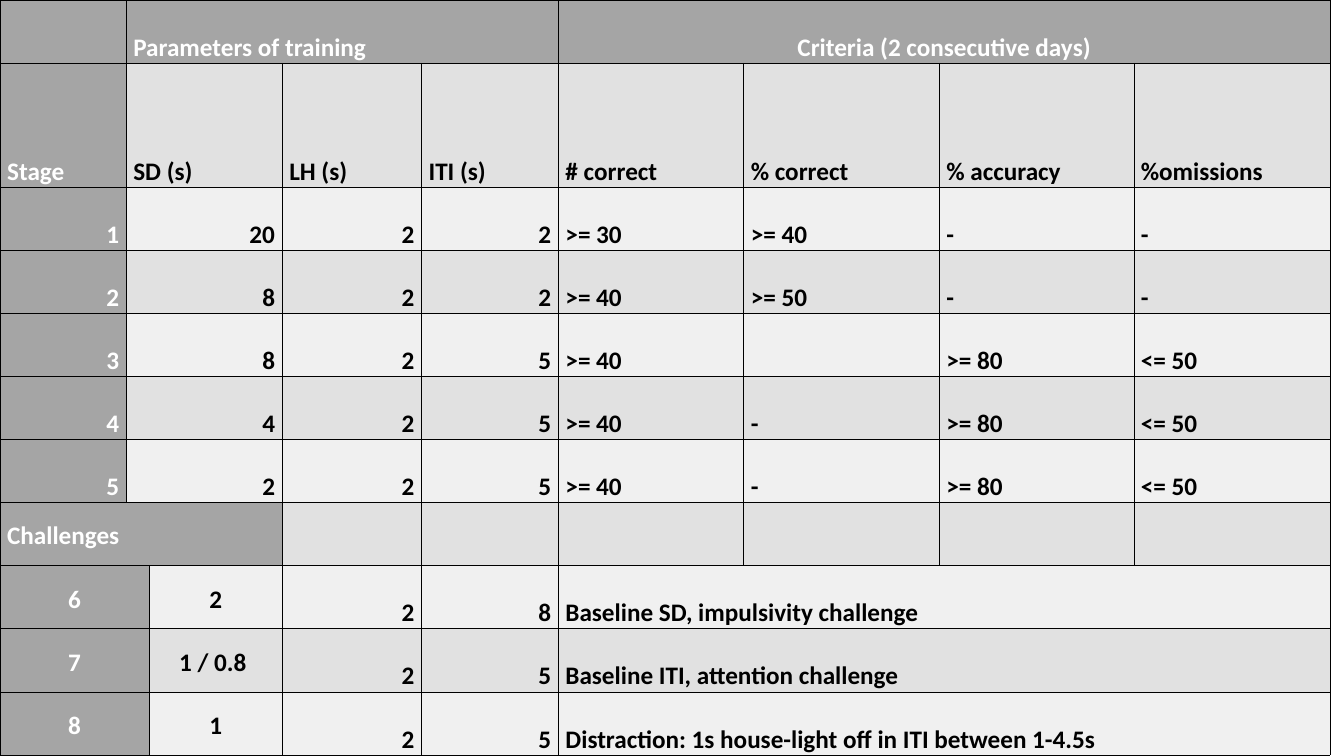
import lxml.etree
import pptx
import pptx.dml.color
import pptx.enum.text
import pptx.oxml.ns
import pptx.util

Cm = pptx.util.Cm
ALIGN = pptx.enum.text.PP_ALIGN
ANCHOR = pptx.enum.text.MSO_ANCHOR

HEADER_FILL, DARK_BAND, LIGHT_BAND = "A5A5A5", "E1E1E1", "F0F0F0"
COLUMN_WIDTHS = [3.18, 0.58, 3.35, 3.51, 3.45, 4.67, 4.93, 4.9, 4.95]
ROW_HEIGHT, NAMES_HEIGHT = 1.59, 3.12

GROUP_SPANS = [1, 4, 4]
STAGE_SPANS = [1, 2, 1, 1, 1, 1, 1, 1]
CHALLENGE_TITLE_SPANS = [3, 1, 1, 1, 1, 1, 1]
CHALLENGE_SPANS = [2, 1, 1, 1, 4]

GROUPS = ["", "Parameters of training", "Criteria (2 consecutive days)"]
NAMES = ["Stage", "SD (s)", "LH (s)", "ITI (s)", "# correct", "% correct",
         "% accuracy", "%omissions"]
STAGES = [
    ["1", "20", "2", "2", ">= 30", ">= 40", "-", "-"],
    ["2", "8", "2", "2", ">= 40", ">= 50", "-", "-"],
    ["3", "8", "2", "5", ">= 40", "", ">= 80", "<= 50"],
    ["4", "4", "2", "5", ">= 40", "-", ">= 80", "<= 50"],
    ["5", "2", "2", "5", ">= 40", "-", ">= 80", "<= 50"],
]
CHALLENGE_TITLE = ["Challenges"] + [""] * 6
CHALLENGES = [
    ["6", "2", "2", "8", "Baseline SD, impulsivity challenge"],
    ["7", "1 / 0.8 ", "2", "5", "Baseline ITI, attention challenge"],
    ["8", "1", "2", "5", "Distraction: 1s house-light off in ITI between 1-4.5s"],
]


def rgb(colour):
    """Turn a hex string into a colour."""
    return pptx.dml.color.RGBColor.from_string(colour)


def write(cell, text, colour="000000", align=ALIGN.LEFT, anchor=ANCHOR.BOTTOM):
    """Put formatted text in a cell."""
    cell.vertical_anchor = anchor
    cell.margin_left = cell.margin_right = Cm(0.18)
    cell.margin_top = cell.margin_bottom = 0
    paragraph = cell.text_frame.paragraphs[0]
    paragraph.alignment = align
    paragraph.line_spacing = 1.15
    run = paragraph.add_run()
    run.text = text
    run.font.name = "Calibri"
    run.font.size = pptx.util.Pt(18)
    run.font.bold = True
    run.font.color.rgb = rgb(colour)


def add_borders(cell, colour="000000", width=0.25):
    """Draw a thin line on all four sides of a cell."""
    properties = cell._tc.get_or_add_tcPr()
    qn = pptx.oxml.ns.qn
    for side in ("a:lnL", "a:lnR", "a:lnT", "a:lnB"):
        line = lxml.etree.SubElement(properties, qn(side), w=str(pptx.util.Pt(width)))
        fill = lxml.etree.SubElement(line, qn("a:solidFill"))
        lxml.etree.SubElement(fill, qn("a:srgbClr"), val=colour)


def add_grid(slide, row_count):
    """Add the bordered, banded table without any text."""
    frame = slide.shapes.add_table(row_count, len(COLUMN_WIDTHS), 0, 0,
                                   Cm(sum(COLUMN_WIDTHS)),
                                   Cm(ROW_HEIGHT * (row_count - 1) + NAMES_HEIGHT))
    table = frame.table
    table.first_row = table.horz_banding = False
    for column, width in zip(table.columns, COLUMN_WIDTHS):
        column.width = Cm(width)
    for index, row in enumerate(table.rows):
        row.height = Cm(NAMES_HEIGHT if index == 1 else ROW_HEIGHT)
        for cell in row.cells:
            add_borders(cell)
            cell.fill.solid()
            cell.fill.fore_color.rgb = rgb(DARK_BAND if index % 2 else LIGHT_BAND)
    return table


def fill_row(table, row, texts, spans, aligns="", middle=0, headers=1):
    """Merge one row by its spans and write its texts, headers first."""
    codes = {"l": ALIGN.LEFT, "c": ALIGN.CENTER, "r": ALIGN.RIGHT}
    column = 0
    for index, (text, span) in enumerate(zip(texts, spans)):
        cell = table.cell(row, column)
        if span > 1:
            cell.merge(table.cell(row, column + span - 1))
        is_header = index < headers
        if is_header:
            cell.fill.fore_color.rgb = rgb(HEADER_FILL)
        if text:
            write(cell, text, colour="FFFFFF" if is_header else "000000",
                  align=codes[aligns[index:index + 1] or "l"],
                  anchor=ANCHOR.MIDDLE if index < middle else ANCHOR.BOTTOM)
        column += span


def main():
    """Build the training table slide."""
    deck = pptx.Presentation()
    deck.slide_width, deck.slide_height = Cm(33.87), Cm(19.05)
    slide = deck.slides.add_slide(deck.slide_layouts[6])

    rows = [(GROUPS, GROUP_SPANS, "llc", 0, 3), (NAMES, STAGE_SPANS)]
    rows += [(stage, STAGE_SPANS, "rrrr") for stage in STAGES]
    rows.append((CHALLENGE_TITLE, CHALLENGE_TITLE_SPANS, "", 1))
    rows += [(challenge, CHALLENGE_SPANS, "ccrr", 2) for challenge in CHALLENGES]

    training = add_grid(slide, len(rows))
    for index, row in enumerate(rows):
        fill_row(training, index, *row)
    deck.save("out.pptx")


if __name__ == "__main__":
    main()
